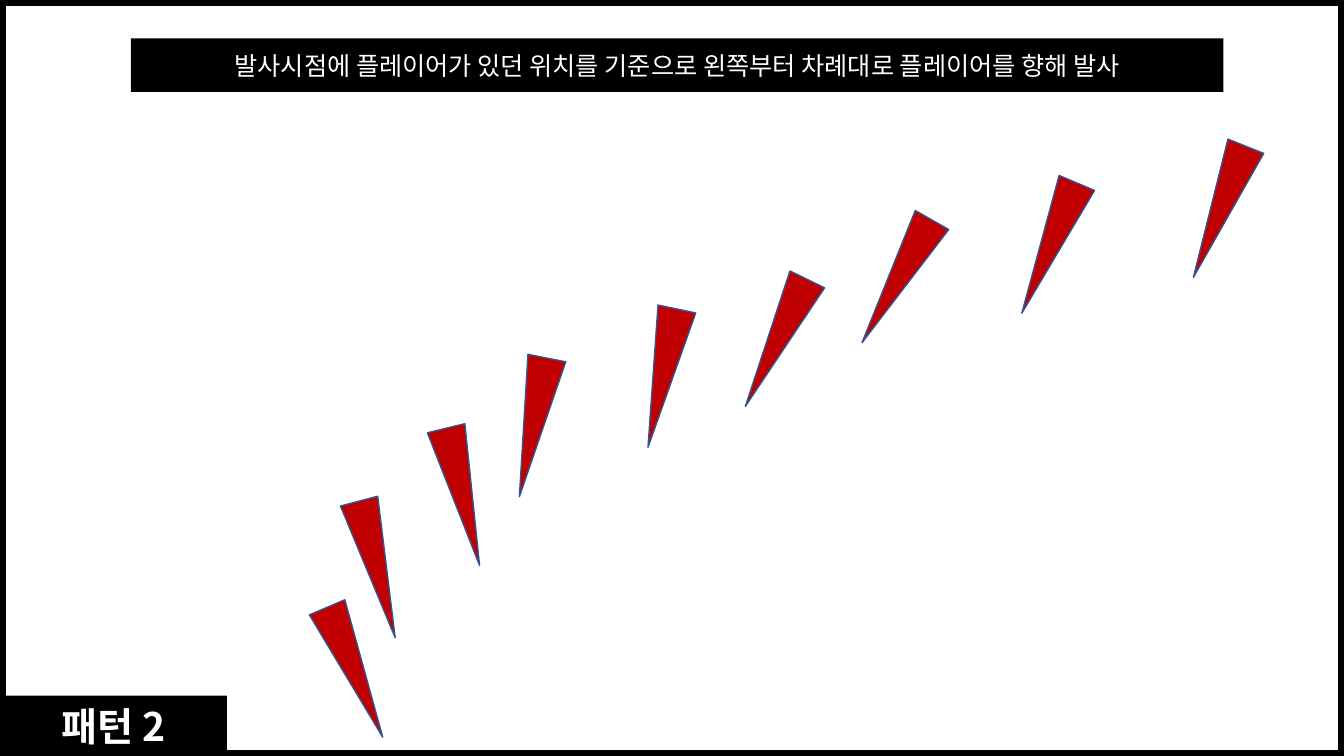
"""Build the slide that shows the spikes of attack pattern 2."""
from typing import NamedTuple

from lxml import etree
from pptx import Presentation
from pptx.dml.color import RGBColor
from pptx.enum.shapes import MSO_SHAPE
from pptx.enum.text import MSO_ANCHOR, MSO_AUTO_SIZE, PP_ALIGN
from pptx.oxml.ns import qn
from pptx.util import Cm, Pt

RECT = MSO_SHAPE.RECTANGLE
MERGE = MSO_SHAPE.FLOWCHART_MERGE
MIDDLE = MSO_ANCHOR.MIDDLE
CENTER = PP_ALIGN.CENTER
FIXED = MSO_AUTO_SIZE.NONE

BLACK = RGBColor(0x00, 0x00, 0x00)
WHITE = RGBColor(0xFF, 0xFF, 0xFF)
RED = RGBColor(0xC0, 0x00, 0x00)
BLUE = RGBColor(0x32, 0x54, 0x91)

FONT = "Noto Sans CJK KR"
WIDE, HIGH = 33.87, 19.05


class Box(NamedTuple):
    left: float
    top: float
    width: float
    height: float


class Spike(NamedTuple):
    left: float
    top: float
    turn: float


SPIKES = [
    Spike(8.46, 15.16, 336.8),
    Spike(9.02, 12.57, 345.2),
    Spike(11.18, 10.74, 346.3),
    Spike(12.95, 8.99, 11.2),
    Spike(16.21, 7.75, 11.8),
    Spike(19.08, 6.86, 26),
    Spike(22.12, 5.31, 29.7),
    Spike(25.96, 4.47, 22.9),
    Spike(30.25, 3.56, 21.8),
]


def draw(slide, kind, box: Box, fill: RGBColor):
    shape = slide.shapes.add_shape(kind, *map(Cm, box))
    shape.shadow.inherit = False
    shape.fill.solid()
    shape.fill.fore_color.rgb = fill
    shape.line.fill.background()
    return shape


def edge(shape, color: RGBColor, width: float) -> None:
    shape.line.color.rgb = color
    shape.line.width = Pt(width)


def write(shape, text: str, size: float, bold: bool) -> None:
    frame = shape.text_frame
    frame.text = text
    frame.word_wrap = True
    frame.auto_size = FIXED
    frame.vertical_anchor = MIDDLE
    para = frame.paragraphs[0]
    para.alignment = CENTER
    font = para.runs[0].font
    font.name = FONT
    font.size = Pt(size)
    font.bold = bold
    font.color.rgb = WHITE
    props = para.runs[0].font.fill._xPr
    east = etree.Element(qn("a:ea"), typeface=FONT)
    props.find(qn("a:latin")).addnext(east)


def place(title, box: Box) -> None:
    title.left, title.top, title.width, title.height = map(Cm, box)
    title.fill.solid()
    title.fill.fore_color.rgb = BLACK
    title.element.getparent().append(title.element)


def main() -> None:
    deck = Presentation()
    deck.slide_width, deck.slide_height = Cm(WIDE), Cm(HIGH)
    slide = deck.slides.add_slide(deck.slide_layouts[5])

    frame = draw(slide, RECT, Box(0, 0, WIDE, HIGH), WHITE)
    edge(frame, BLACK, 8)

    for left, top, turn in SPIKES:
        spike = draw(slide, MERGE, Box(left, top, 0.97, 3.56), RED)
        spike.rotation = turn
        edge(spike, BLUE, 1)

    banner = draw(slide, RECT, Box(3.3, 0.97, 27.53, 1.35), BLACK)
    write(banner, "발사시점에 플레이어가 있던 위치를 기준으로 왼쪽부터 차례대로 플레이어를 향해 발사", 18, False)

    title = slide.shapes.title
    place(title, Box(0, 17.53, 5.72, 1.52))
    write(title, "패턴 2", 28, True)

    deck.save("out.pptx")


if __name__ == "__main__":
    main()
